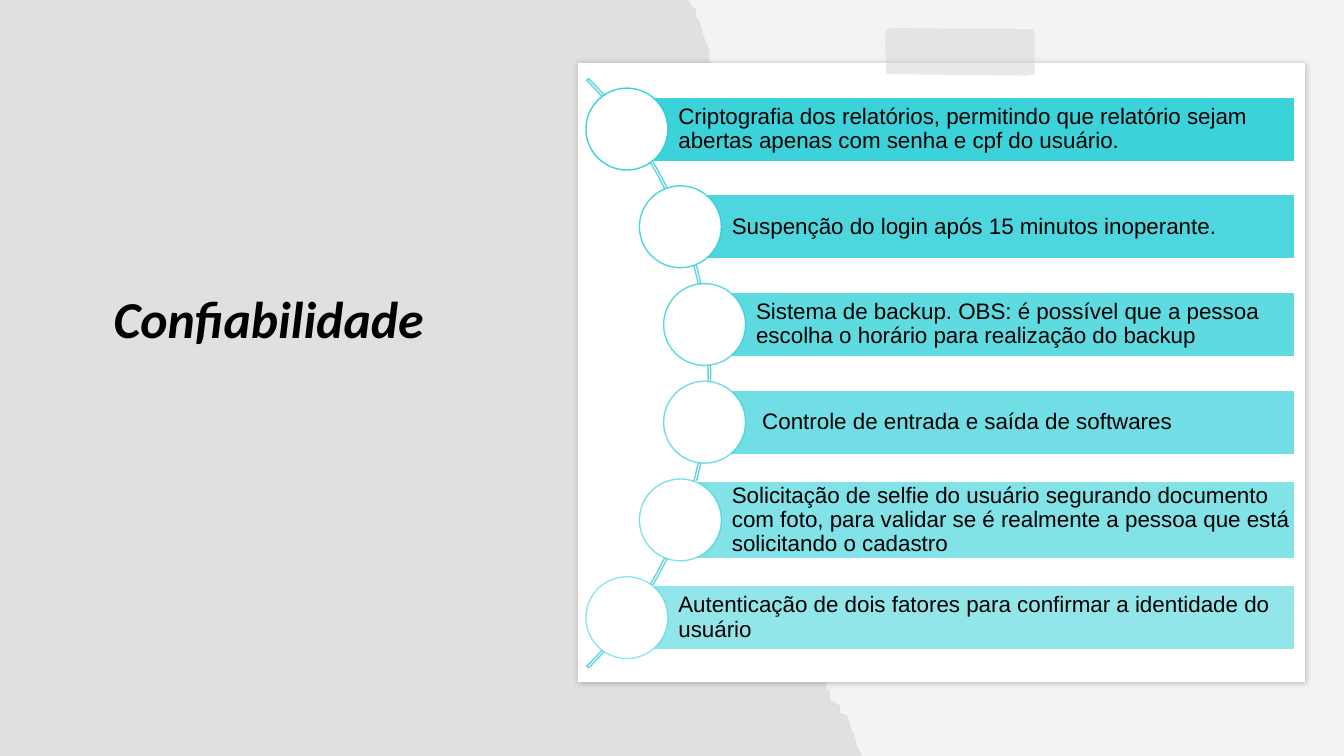
from pptx import Presentation
from pptx.dml.color import RGBColor
from pptx.enum.shapes import MSO_SHAPE as Kind
from pptx.enum.text import MSO_ANCHOR as Anchor, PP_ALIGN as Align
from pptx.oxml.ns import qn
from pptx.util import Pt
from lxml.etree import SubElement as Sub


def tint(color, code):
    color.rgb = RGBColor.from_string(code)


def fade(part, alpha):
    if alpha < 100:
        code = part.find(qn("a:solidFill"))[0]
        Sub(code, qn("a:alpha")).set("val", str(alpha * 1000))


class Deck:
    ink = "000000"
    white = "FFFFFF"
    teal = "27CED7"
    arc_line = "62D4DB"
    back = "F3F3F3"
    head_font = "Calibri"
    body_font = "Arial"

    def __init__(self, wide, high):
        self.show = Presentation()
        self.show.slide_width, self.show.slide_height = Pt(wide), Pt(high)
        self.slide = self.show.slides.add_slide(self.show.slide_layouts[5])
        self.shapes = self.slide.shapes
        fill = self.slide.background.fill
        fill.solid()
        tint(fill.fore_color, self.back)

    def paint(self, shape, fill=None, line=None, fill_alpha=100, line_alpha=100):
        props = shape._element.spPr
        if fill:
            shape.fill.solid()
            tint(shape.fill.fore_color, fill)
            fade(props, fill_alpha)
        else:
            shape.fill.background()
        if line:
            shape.line.width = Pt(1)
            tint(shape.line.color, line)
            fade(props.find(qn("a:ln")), line_alpha)
        else:
            shape.line.fill.background()
        shape.shadow.inherit = False
        return shape

    def shape(self, kind, x, y, w, h, **look):
        item = self.shapes.add_shape(kind, Pt(x), Pt(y), Pt(w), Pt(h))
        return self.paint(item, **look)

    def outline(self, points, **look):
        pen = self.shapes.build_freeform(*points[0], scale=Pt(1))
        pen.add_line_segments(points[1:], close=True)
        return self.paint(pen.convert_to_shape(), **look)

    def cast(self, shape, blur, dist, angle, alpha):
        effects = shape._element.spPr.find(qn("a:effectLst"))
        shade = Sub(effects, qn("a:outerShdw"), blurRad=str(Pt(blur)),
                    dist=str(Pt(dist)), dir=str(angle * 60000), rotWithShape="0")
        code = Sub(shade, qn("a:srgbClr"), val=self.ink)
        Sub(code, qn("a:alpha"), val=str(alpha * 1000))

    def label(self, frame, text, size, font, align, bold=False, italic=False):
        frame.word_wrap = True
        frame.text = text
        para = frame.paragraphs[0]
        para.alignment, para.line_spacing = align, 0.9
        face = para.font
        face.name, face.size = font, Pt(size)
        face.bold, face.italic = bold, italic
        tint(face.color, self.ink)
        return para

    def title(self, text, x, y, w, h):
        item = self.shapes.title
        item.left, item.top, item.width, item.height = Pt(x), Pt(y), Pt(w), Pt(h)
        self.shapes._spTree.append(item._element)
        item.text_frame.vertical_anchor = Anchor.TOP
        para = self.label(item.text_frame, text, 37, self.head_font,
                          Align.CENTER, True, True)
        para.space_before = Pt(10)

    def arc(self, x, y, size):
        item = self.shape(Kind.BLOCK_ARC, x, y, size, size, line=self.arc_line)
        for spot, value in enumerate((189, 27, 0.003)):
            item.adjustments[spot] = value

    def point(self, text, x, mid, high, alpha):
        right, ball = 925.2, 58.5
        bar = self.shape(Kind.RECTANGLE, x, mid - high / 2, right - x, high,
                         fill=self.teal, line=self.white, fill_alpha=alpha)
        frame = bar.text_frame
        frame.margin_left, frame.margin_right = Pt(36.8), Pt(2.5)
        frame.margin_top = frame.margin_bottom = Pt(2.9)
        frame.vertical_anchor = Anchor.MIDDLE
        self.label(frame, text, 16, self.body_font, Align.LEFT)
        self.shape(Kind.OVAL, x - ball / 2, mid - ball / 2, ball, ball,
                   fill=self.white, line=self.teal, line_alpha=alpha)


TORN = [
    (0, 0), (492.5, 0), (494, 4.3), (496.8, 7.2), (496.8, 11.5), (499, 14.4),
    (501.1, 18.7), (503.3, 26.6), (506.9, 36), (506.2, 40.3), (507.6, 47.5),
    (506.2, 56.2), (511.9, 61.2), (510.5, 69.8), (507.6, 74.9), (506.2, 82.8),
    (509.8, 91.4), (509.8, 98.6), (512.6, 105.8), (513.4, 111.6), (515.5, 117.4),
    (514.8, 122.4), (515.5, 128.9), (517, 142.6), (521.3, 156.2), (522.7, 162.7),
    (522, 177.8), (522.7, 207.4), (521.3, 218.9), (524.2, 238.3), (524.9, 291.6),
    (526.3, 301.7), (528.5, 315.4), (535, 340.6), (538.6, 346.3), (542.9, 365),
    (556.6, 381.6), (567.4, 391), (575.3, 408.2), (573.1, 416.2), (580.3, 424.8),
    (584.6, 434.2), (592.6, 441.4), (590.4, 450), (594, 464.4), (594.7, 476.6),
    (593.3, 481.7), (589.7, 490.3), (591.1, 493.9), (593.3, 490.3), (593.3, 499.7),
    (599.8, 504), (600.5, 509), (604.8, 511.2), (607, 517), (607.7, 521.3),
    (611.3, 527), (612, 532.8), (615.6, 540), (0, 540),
]
SHEET = [(412.6, 45.4), (931.7, 45.4), (931.7, 487.4), (412.6, 487.4)]
TAPE = [
    (632.9, 21.6), (636.5, 20.2), (738, 20.9), (738.7, 26.6), (739.4, 43.9),
    (739.4, 53.3), (733, 54), (632.9, 53.3), (632.9, 43.2), (632.2, 33.8),
]
POINTS = [
    ("Criptografia dos relatórios, permitindo que relatório sejam abertas "
     "apenas com senha e cpf do usuário.", 447.8, 46),
    ("Suspenção do login após 15 minutos inoperante.", 486, 46),
    ("Sistema de backup. OBS: é possível que a pessoa escolha o horário "
     "para realização do backup", 503.3, 46),
    (" Controle de entrada e saída de softwares", 503.3, 46),
    ("Solicitação de selfie do usuário segurando documento com foto, para "
     "validar se é realmente a pessoa que está solicitando o cadastro", 486, 55),
    ("Autenticação de dois fatores para confirmar a identidade do usuário",
     447.8, 46),
]


def main():
    deck = Deck(960, 540)
    deck.outline(TORN, fill="82766A", fill_alpha=15)
    deck.title("Confiabilidade", 50.4, 205.9, 283, 85.7)
    sheet = deck.outline(SHEET, fill=deck.white)
    deck.cast(sheet, 4, 1, 50, 24)
    deck.outline(TAPE, fill="D9D4D0", fill_alpha=50)
    deck.arc(-87.8, -31, 595.4)
    for row, (text, x, high) in enumerate(POINTS):
        deck.point(text, x, 92.2 + 69.8 * row, high, 90 - 8 * row)
    deck.show.save("out.pptx")


if __name__ == "__main__":
    main()
